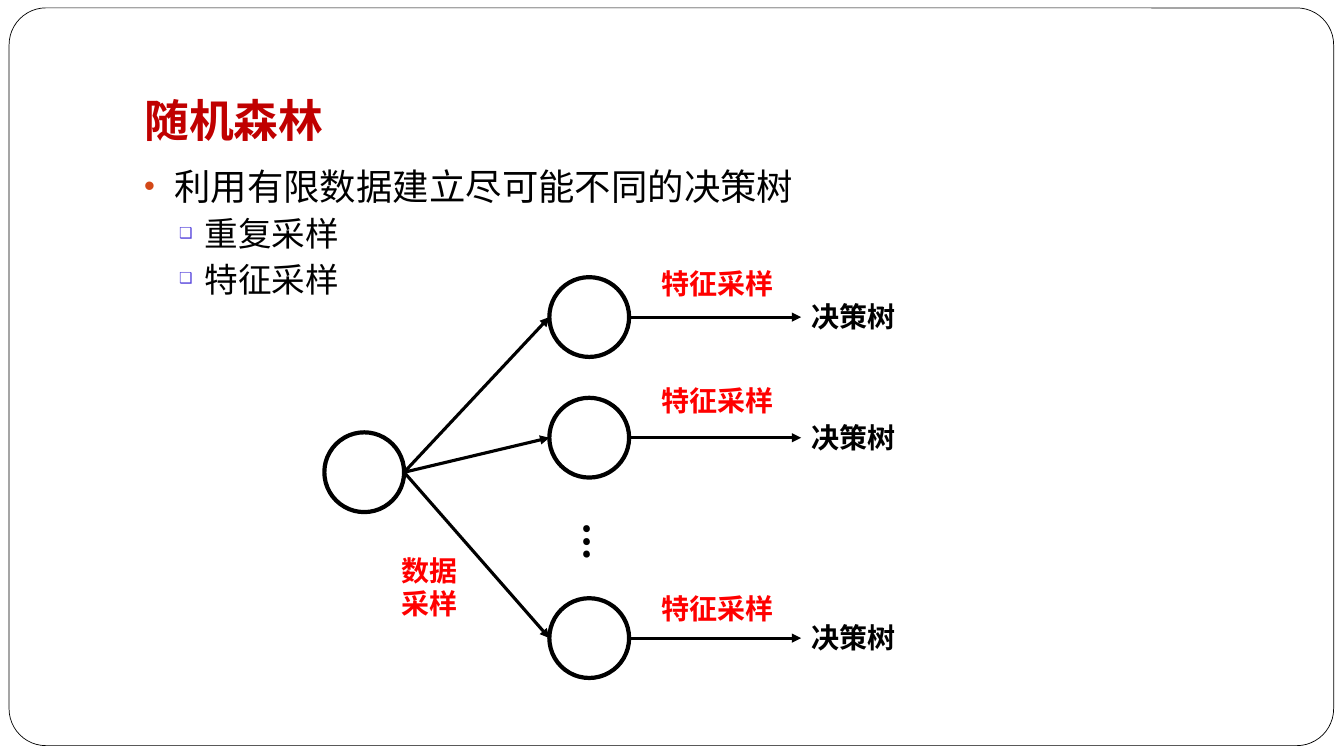
from dataclasses import dataclass

import lxml.etree
import pptx
import pptx.dml.color
import pptx.enum.shapes
import pptx.enum.text
import pptx.oxml
import pptx.oxml.ns
import pptx.util
from pptx.util import Cm

BODY_FONT = "Vollkorn"
BLACK, RED = "000000", "FF0000"
DIAMETER = 2.01
ROOT_X, ROOT_Y = 9.18, 11.9
SAMPLE_X = 14.85
LABEL_LEFT, TREE_LEFT = 16.41, 20.19
LABEL_WIDTH, LABEL_HEIGHT = 3.78, 1.12


@dataclass(frozen=True)
class Bullet:
    text: str
    level: int
    size: float
    space_before: float
    margin: float
    hanging: float
    symbol: str
    color: str
    percent: int


@dataclass(frozen=True)
class Branch:
    center_y: float
    label_top: float


BULLETS = [
    Bullet("利用有限数据建立尽可能不同的决策树", 0, 26, 5.8, 0.76, 0.76, "•", "D34817", 85),
    *(Bullet(text, 1, 24, 3.7, 1.52, 0.64, "❑", "503DDB", 45)
      for text in ("重复采样", "特征采样")),
]
BRANCHES = [Branch(7.99, 6.6), Branch(11.03, 9.53), Branch(16.08, 14.78)]


def rgb(color: str) -> pptx.dml.color.RGBColor:
    return pptx.dml.color.RGBColor.from_string(color)


def format_paragraph(paragraph, size: float, color: str, bold: bool = False,
                     name: str = BODY_FONT) -> None:
    paragraph.alignment = pptx.enum.text.PP_ALIGN.LEFT
    font = paragraph.font
    font.name, font.size, font.bold = name, pptx.util.Pt(size), bold
    font.color.rgb = rgb(color)


def place(shape, left: float, top: float, width: float, height: float) -> None:
    shape.left, shape.top = Cm(left), Cm(top)
    shape.width, shape.height = Cm(width), Cm(height)


def add_child(parent, tag: str, **attributes: str):
    child = lxml.etree.SubElement(parent, pptx.oxml.ns.qn(tag))
    for key, value in attributes.items():
        child.set(key, value)
    return child


def add_frame(slide) -> None:
    frame = slide.shapes.add_shape(
        pptx.enum.shapes.MSO_SHAPE.ROUNDED_RECTANGLE,
        Cm(0.23), Cm(0.2), Cm(33.38), Cm(18.59))
    frame.adjustments[0] = 0.05
    frame.shadow.inherit = False
    frame.fill.solid()
    frame.fill.fore_color.rgb = rgb("FFFFFF")
    frame.line.color.rgb = rgb(BLACK)
    frame.line.width = pptx.util.Pt(0.5)
    # Send behind the placeholders
    frame.element.getparent().insert(2, frame.element)


def fill_title(title, text: str) -> None:
    place(title, 3.38, 0.76, 28.78, 3.18)
    text_frame = title.text_frame
    text_frame.text = text
    text_frame.auto_size = pptx.enum.text.MSO_AUTO_SIZE.NONE
    text_frame.vertical_anchor = pptx.enum.text.MSO_ANCHOR.BOTTOM
    text_frame.margin_bottom = Cm(0.25)
    format_paragraph(text_frame.paragraphs[0], 32, "C00000", True, "Times New Roman")


def fill_body(body, bullets: list[Bullet]) -> None:
    place(body, 3.38, 4.01, 28.78, 12.7)
    text_frame = body.text_frame
    text_frame.text = "\n".join(bullet.text for bullet in bullets)
    text_frame.auto_size = pptx.enum.text.MSO_AUTO_SIZE.NONE
    for paragraph, bullet in zip(text_frame.paragraphs, bullets):
        paragraph.level = bullet.level
        paragraph.space_before = pptx.util.Pt(bullet.space_before)
        properties = paragraph._p.get_or_add_pPr()
        properties.set("marL", str(Cm(bullet.margin)))
        properties.set("indent", str(-Cm(bullet.hanging)))
        add_child(add_child(properties, "a:buClr"), "a:srgbClr", val=bullet.color)
        add_child(properties, "a:buSzPct", val=str(bullet.percent * 1000))
        add_child(properties, "a:buChar", char=bullet.symbol)
        format_paragraph(paragraph, bullet.size, BLACK)


def add_node(slide, center_x: float, center_y: float) -> None:
    node = slide.shapes.add_shape(
        pptx.enum.shapes.MSO_SHAPE.OVAL,
        Cm(center_x - DIAMETER / 2), Cm(center_y - DIAMETER / 2),
        Cm(DIAMETER), Cm(DIAMETER))
    node.shadow.inherit = False
    node.fill.background()
    node.line.color.rgb = rgb(BLACK)
    node.line.width = pptx.util.Pt(3)


def add_arrow(slide, start_x: float, start_y: float, end_x: float, end_y: float) -> None:
    arrow = slide.shapes.add_connector(
        pptx.enum.shapes.MSO_CONNECTOR.STRAIGHT,
        Cm(start_x), Cm(start_y), Cm(end_x), Cm(end_y))
    arrow.line.color.rgb = rgb(BLACK)
    arrow.line.width = pptx.util.Pt(2.25)
    add_child(arrow.line._get_or_add_ln(), "a:tailEnd", type="triangle")
    add_child(arrow.element.spPr, "a:effectLst")


def add_label(slide, text: str, left: float, top: float, color: str,
              width: float = LABEL_WIDTH, height: float = LABEL_HEIGHT,
              size: float = 20):
    label = slide.shapes.add_textbox(Cm(left), Cm(top), Cm(width), Cm(height))
    label.text_frame.word_wrap = True
    label.text_frame.text = text
    format_paragraph(label.text_frame.paragraphs[0], size, color, True)
    return label


def main() -> None:
    presentation = pptx.Presentation()
    presentation.slide_width, presentation.slide_height = Cm(33.87), Cm(19.05)
    slide = presentation.slides.add_slide(presentation.slide_layouts[1])

    # Frame, title and list
    add_frame(slide)
    fill_title(slide.shapes.title, "随机森林")
    fill_body(slide.placeholders[1], BULLETS)

    # Data sampling: root node to the sampled sets
    radius = DIAMETER / 2
    add_node(slide, ROOT_X, ROOT_Y)
    add_label(slide, "数据采样", 9.88, 13.82, RED, 2.36, 1.96)
    dots = add_label(slide, "…", 14.12, 12.95, BLACK, 1.7, 1.65, 28)
    dots.text_frame._txBody.bodyPr.set("vert", "eaVert")

    # Feature sampling: each sampled set to its decision tree
    for branch in BRANCHES:
        center_y = branch.center_y
        add_node(slide, SAMPLE_X, center_y)
        add_arrow(slide, ROOT_X + radius, ROOT_Y, SAMPLE_X - radius, center_y)
        add_arrow(slide, SAMPLE_X + radius, center_y, TREE_LEFT, center_y)
        add_label(slide, "特征采样", LABEL_LEFT, branch.label_top, RED)
        add_label(slide, "决策树", TREE_LEFT, center_y - LABEL_HEIGHT / 2, BLACK)

    presentation.save("out.pptx")


if __name__ == "__main__":
    main()
